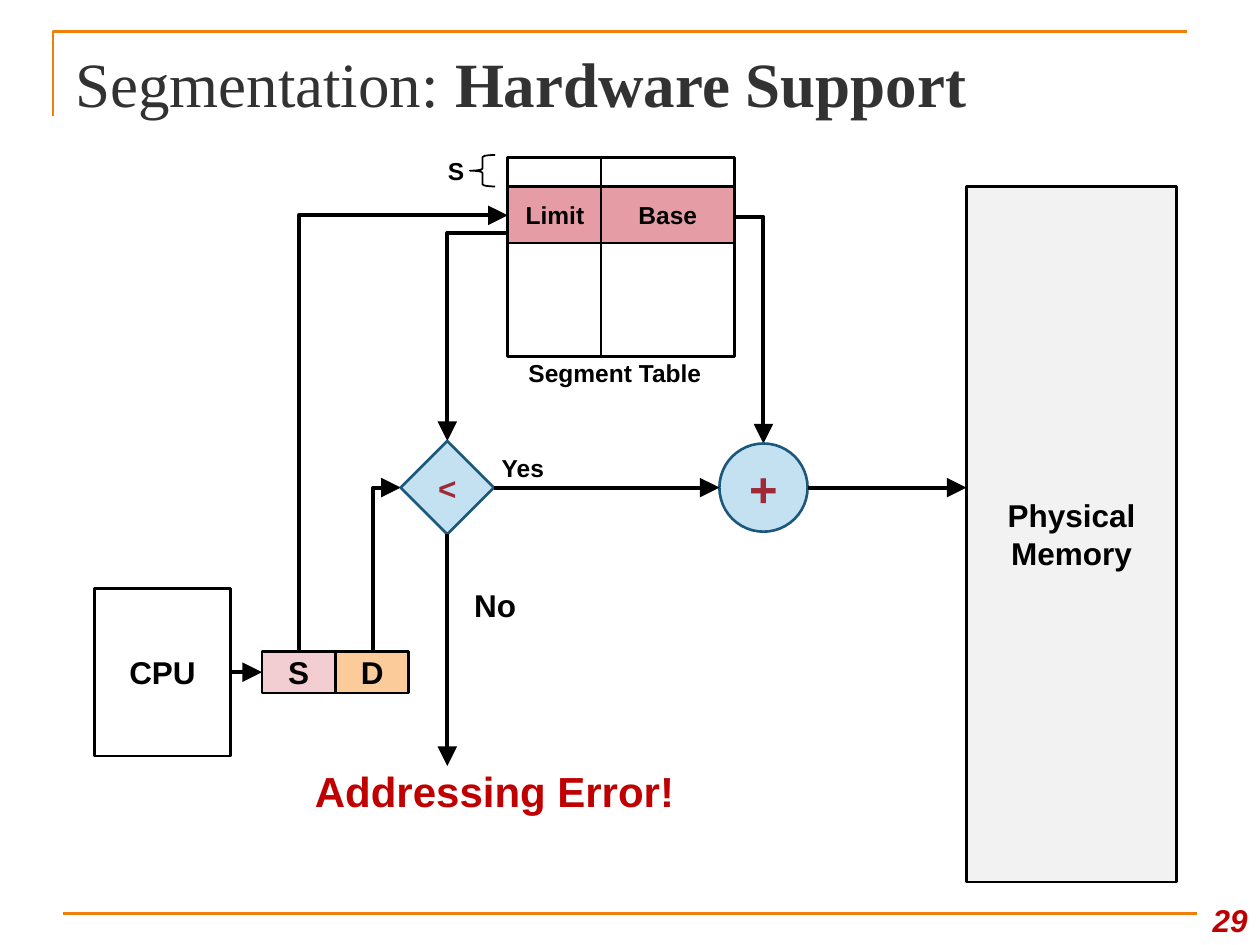
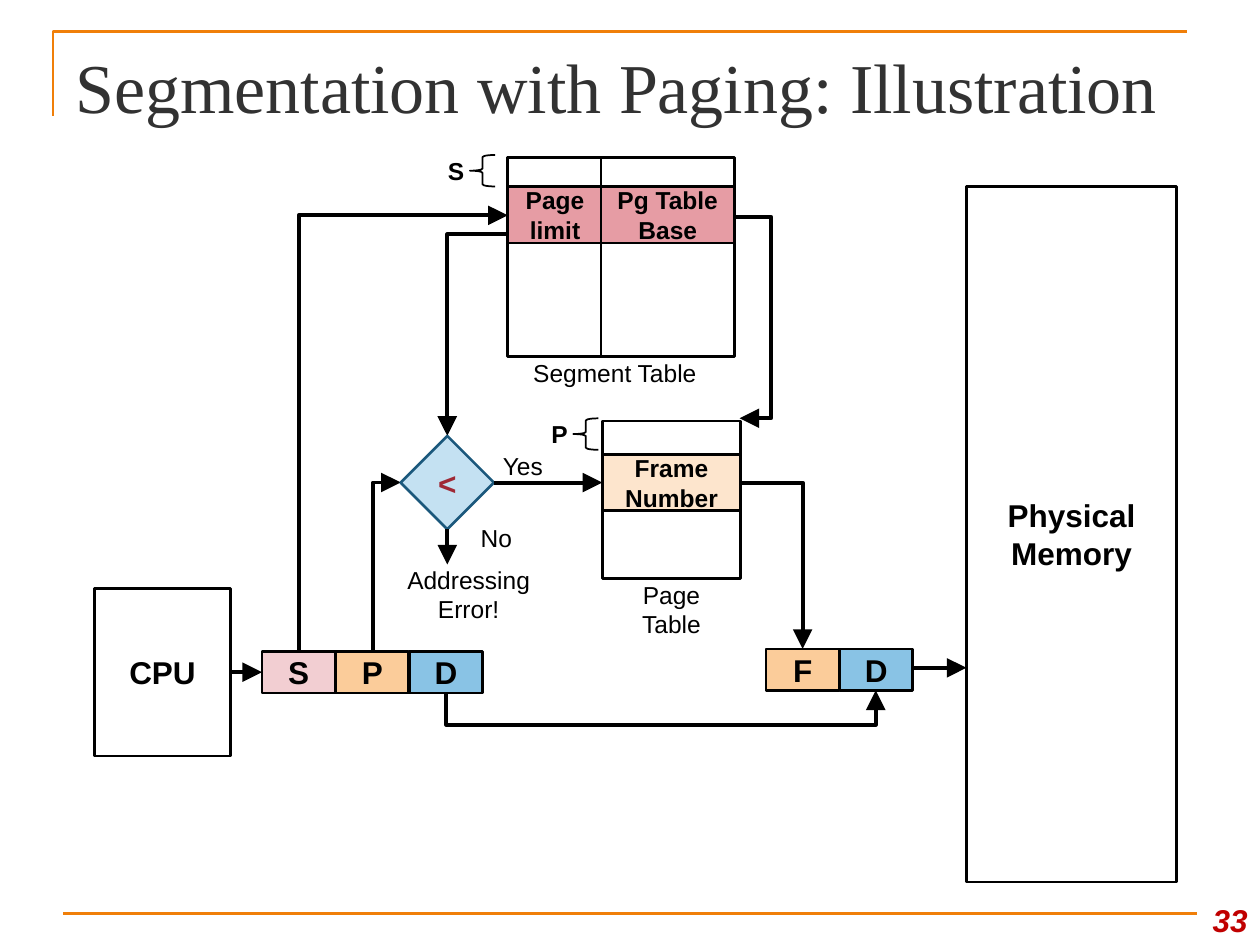
from dataclasses import dataclass
from pptx import Presentation
from pptx.dml.color import RGBColor
from pptx.enum.shapes import MSO_CONNECTOR, MSO_SHAPE
from pptx.enum.text import MSO_ANCHOR, PP_ALIGN
from pptx.oxml.ns import qn
from pptx.util import Inches, Pt
from lxml.etree import SubElement


@dataclass(frozen=True)
class Theme:
    heading_font: str = "Times New Roman"
    body_font: str = "Arial"
    heading: str = "323232"
    accent: str = "F07F09"
    alert: str = "C00000"
    black: str = "000000"
    white: str = "FFFFFF"
    gray: str = "F2F2F2"
    pink: str = "F2CED2"
    rose: str = "E69CA4"
    orange: str = "FBCC9A"
    cream: str = "FDE5CD"
    blue: str = "89C3E5"
    pale_blue: str = "C4E1F2"
    navy: str = "1B587C"
    crimson: str = "9F2936"
    small: int = 14
    medium: int = 18
    large: int = 24
    symbol: int = 28
    title: int = 36
    long_title: int = 40
    outline: float = 1.5
    arrow: float = 2.25
    brace: float = 1


THEME = Theme()
CELL_WIDTH, CELL_PITCH, CELL_HEIGHT = 0.58, 0.585, 0.33
LABEL_HEIGHT = 0.33
DIAMOND_LEFT, DIAMOND_SIZE = 3.18, 0.74
TABLE_TOP, TABLE_HEIGHT = 1.25, 1.58
ENTRY_TOP, ENTRY_HEIGHT = 1.48, 0.45
TABLE_COLUMNS = [(4.03, 0.75), (4.77, 1.06)]
SEGMENT_ROUTE = [(2.37, 5.17), (2.37, 1.71), (4.03, 1.71)]

SLIDES = [
    {
        "number": "29",
        "title": [("Segmentation: ", False), ("Hardware Support", True)],
        "title_size": THEME.title,
        "memory_fill": THEME.gray,
        "entries": ["Limit", "Base"],
        "addresses": [(2.08, 5.17, [("S", THEME.pink), ("D", THEME.orange)])],
        "diamond_top": 3.5,
        "page_table": False,
        "adder": (5.71, 3.52, 0.7),
        "braces": [("S", 3.73, 1.23)],
        "labels": [
            ("Yes", 3.86, 3.55, 0.58, {"bold": True}),
            ("No", 3.53, 4.64, 0.8, {"bold": True, "size": THEME.medium}),
            ("Addressing Error!", 2.34, 6.11, 3.17,
             {"bold": True, "size": THEME.large, "color": THEME.alert}),
            ("Segment Table", 4.04, 2.79, 1.68, {"bold": True}),
        ],
        "elbows": [
            [(5.3, 1.36), (5.3, 1.72), (6.06, 1.72), (6.06, 3.52)],
            [(4.4, 1.93), (4.4, 1.85), (3.55, 1.85), (3.55, 3.5)],
            SEGMENT_ROUTE,
            [(2.96, 5.17), (2.96, 3.87), (3.18, 3.87)],
        ],
        "arrows": [
            ((1.83, 5.33), (2.08, 5.33), ("CPU", 3), ("S", 1)),
            ((3.92, 3.87), (5.71, 3.87), ("<", 3), None),
            ((3.55, 4.24), (3.55, 6.08), ("<", 2), None),
            ((6.41, 3.87), (7.67, 3.87), None, None),
        ],
    },
    {
        "number": "33",
        "title": [("Segmentation with Paging: Illustration", False)],
        "title_size": THEME.long_title,
        "memory_fill": THEME.white,
        "entries": ["Page limit", "Pg Table Base"],
        "addresses": [
            (2.08, 5.17, [("S", THEME.pink), ("P", THEME.orange), ("D", THEME.blue)]),
            (6.08, 5.15, [("F", THEME.orange), ("D", THEME.blue)]),
        ],
        "diamond_top": 3.46,
        "page_table": True,
        "adder": None,
        "braces": [("S", 3.73, 1.23), ("P", 4.55, 3.32)],
        "labels": [
            ("Yes", 3.86, 3.53, 0.58, {}),
            ("No", 3.65, 4.1, 0.58, {}),
            ("Addressing Error!", 3.09, 4.55, 1.26, {}),
            ("Segment Table", 4.04, 2.79, 1.68, {}),
            ("Page Table", 4.78, 4.67, 1.1, {}),
        ],
        "elbows": [
            [(5.3, 1.29), (5.3, 1.72), (6.12, 1.72), (6.12, 3.32), (5.87, 3.32)],
            [(4.4, 1.93), (4.4, 1.86), (3.55, 1.86), (3.55, 3.46)],
            SEGMENT_ROUTE,
            [(2.96, 5.17), (2.96, 3.83), (3.18, 3.83)],
            [(5.88, 3.83), (6.37, 3.83), (6.37, 5.15)],
            [(3.54, 5.5), (3.54, 5.75), (6.95, 5.75), (6.95, 5.48)],
        ],
        "arrows": [
            ((1.83, 5.33), (2.08, 5.33), ("CPU", 3), ("S", 1)),
            ((3.92, 3.83), (4.78, 3.83), ("<", 3), ("Frame Number", 1)),
            ((3.55, 4.2), (3.55, 4.48), ("<", 2), None),
            ((7.25, 5.3), (7.67, 5.3), None, None),
        ],
    },
]


def rgb(color):
    return RGBColor.from_string(color)


def write(shape, runs, size=THEME.small, color=THEME.black, bold=False, italic=False,
          font=THEME.body_font, align=PP_ALIGN.CENTER, anchor=MSO_ANCHOR.MIDDLE, margin=0):
    frame = shape.text_frame
    frame.word_wrap = True
    frame.vertical_anchor = anchor
    frame.margin_top = frame.margin_bottom = Inches(margin)
    paragraph = frame.paragraphs[0]
    paragraph.alignment = align
    for text, run_bold in [(runs, bold)] if isinstance(runs, str) else runs:
        run = paragraph.add_run()
        run.text = text
        run.font.name = font
        run.font.size = Pt(size)
        run.font.bold = run_bold
        run.font.italic = italic
        run.font.color.rgb = rgb(color)


def add_label(slide, runs, left, top, width, height=LABEL_HEIGHT, **text_format):
    box = slide.shapes.add_textbox(*map(Inches, (left, top, width, height)))
    write(box, runs, **text_format)


def add_box(slide, left, top, width, height, fill=THEME.white, text=None,
            kind=MSO_SHAPE.RECTANGLE, line=THEME.black, weight=THEME.outline, **text_format):
    shape = slide.shapes.add_shape(kind, *map(Inches, (left, top, width, height)))
    shape.shadow.inherit = False
    if fill:
        shape.fill.solid()
        shape.fill.fore_color.rgb = rgb(fill)
    else:
        shape.fill.background()
    shape.line.color.rgb = rgb(line)
    shape.line.width = Pt(weight)
    if text:
        write(shape, text, **{"bold": True, **text_format})
    return shape


def add_line(slide, start, end, kind=MSO_CONNECTOR.STRAIGHT, color=THEME.black,
             weight=THEME.arrow, arrow=True):
    connector = slide.shapes.add_connector(kind, *map(Inches, (*start, *end)))
    connector.line.color.rgb = rgb(color)
    connector.line.width = Pt(weight)
    properties = connector.element.spPr
    if arrow:
        SubElement(properties.find(qn("a:ln")), qn("a:tailEnd"),
                   type="triangle", w="lg", len="lg")
    SubElement(properties, qn("a:effectLst"))
    return connector


def add_elbow(slide, points):
    (start_x, start_y), (end_x, end_y) = points[0], points[-1]
    across_page, down_page = end_x - start_x, end_y - start_y
    offsets = [(x - start_x, y - start_y) for x, y in points]
    if points[0][1] == points[1][1]:
        turn, local = 0, offsets
    elif across_page > 0 and down_page > 0:
        turn, local = 270, [(-y, x) for x, y in offsets]
    else:
        turn, local = 90, [(y, -x) for x, y in offsets]
    along, across = local[-1]
    width, height = abs(along), abs(across)

    connector = add_line(slide, points[0], points[-1], MSO_CONNECTOR.ELBOW)
    connector.left = Inches((start_x + end_x - width) / 2)
    connector.top = Inches((start_y + end_y - height) / 2)
    connector.width, connector.height = Inches(width), Inches(height)
    transform = connector.element.spPr.find(qn("a:xfrm"))
    transform.set("rot", str(turn * 60000))
    transform.set("flipH", str(int(along < 0)))
    transform.set("flipV", str(int(across < 0)))

    geometry = connector.element.spPr.find(qn("a:prstGeom"))
    geometry.set("prst", f"bentConnector{len(points) - 1}")
    bends = [local[1][0] / along, local[2][1] / across][:len(points) - 3]
    guides = geometry.find(qn("a:avLst"))
    for index, bend in enumerate(bends, 1):
        SubElement(guides, qn("a:gd"), name=f"adj{index}", fmla=f"val {round(bend * 100000)}")


def add_frame(slide, content):
    corner = [(0.42, 0.92), (0.42, 0.25), (9.42, 0.25)]
    points = [(Inches(x), Inches(y)) for x, y in corner]
    builder = slide.shapes.build_freeform(*points[0])
    builder.add_line_segments(points[1:], close=False)
    band = builder.convert_to_shape()
    band.shadow.inherit = False
    band.fill.background()
    band.line.color.rgb = rgb(THEME.accent)
    band.line.width = Pt(THEME.outline)
    add_line(slide, (0.5, 7.25), (9.5, 7.25), color=THEME.accent,
             weight=THEME.outline, arrow=False)
    add_label(slide, content["title"], 0.5, 0.3, 9, 0.78, size=content["title_size"],
              color=THEME.heading, font=THEME.heading_font, align=PP_ALIGN.LEFT,
              anchor=MSO_ANCHOR.TOP, margin=0.05)
    add_label(slide, content["number"], 9.42, 7, 0.58, 0.5, size=THEME.medium,
              color=THEME.alert, bold=True, italic=True, align=PP_ALIGN.RIGHT,
              anchor=MSO_ANCHOR.BOTTOM, margin=0.05)


def add_diagram(slide, content):
    for points in content["elbows"]:
        add_elbow(slide, points)

    boxes = {"CPU": add_box(slide, 0.75, 4.67, 1.08, 1.33, text="CPU", size=THEME.medium)}
    add_box(slide, 7.67, 1.48, 1.67, 5.52, content["memory_fill"], "Physical Memory",
            size=THEME.medium)
    for left, top, cells in content["addresses"]:
        for index, (text, fill) in enumerate(cells):
            boxes[text] = add_box(slide, left + index * CELL_PITCH, top, CELL_WIDTH,
                                  CELL_HEIGHT, fill, text, size=THEME.medium)

    for left, width in TABLE_COLUMNS:
        add_box(slide, left, TABLE_TOP, width, TABLE_HEIGHT)
    for (left, width), text in zip(TABLE_COLUMNS, content["entries"]):
        add_box(slide, left, ENTRY_TOP, width, ENTRY_HEIGHT, THEME.rose, text)
    if content["page_table"]:
        add_box(slide, 4.78, 3.34, 1.1, 1.25)
        boxes["Frame Number"] = add_box(slide, 4.78, 3.61, 1.1, 0.44,
                                        THEME.cream, "Frame Number")

    operator = {"fill": THEME.pale_blue, "line": THEME.navy, "color": THEME.crimson}
    boxes["<"] = add_box(slide, DIAMOND_LEFT, content["diamond_top"], DIAMOND_SIZE,
                         DIAMOND_SIZE, text="<", kind=MSO_SHAPE.DIAMOND,
                         size=THEME.medium, **operator)
    if content["adder"]:
        left, top, diameter = content["adder"]
        add_box(slide, left, top, diameter, diameter, text="+", kind=MSO_SHAPE.OVAL,
                size=THEME.symbol, **operator)

    for text, left, top in content["braces"]:
        add_box(slide, left, top, 0.2, 0.25, None, kind=MSO_SHAPE.LEFT_BRACE,
                weight=THEME.brace)
        add_label(slide, text, left - 0.4, top - 0.04, 0.58, bold=True)
    for start, end, source, target in content["arrows"]:
        connector = add_line(slide, start, end)
        if source:
            connector.begin_connect(boxes[source[0]], source[1])
        if target:
            connector.end_connect(boxes[target[0]], target[1])
    for text, left, top, width, text_format in content["labels"]:
        add_label(slide, text, left, top, width, **text_format)


def main():
    presentation = Presentation()
    presentation.slide_width, presentation.slide_height = Inches(10), Inches(7.5)
    for content in SLIDES:
        slide = presentation.slides.add_slide(presentation.slide_layouts[6])
        add_frame(slide, content)
        add_diagram(slide, content)
    presentation.save("out.pptx")


if __name__ == "__main__":
    main()
